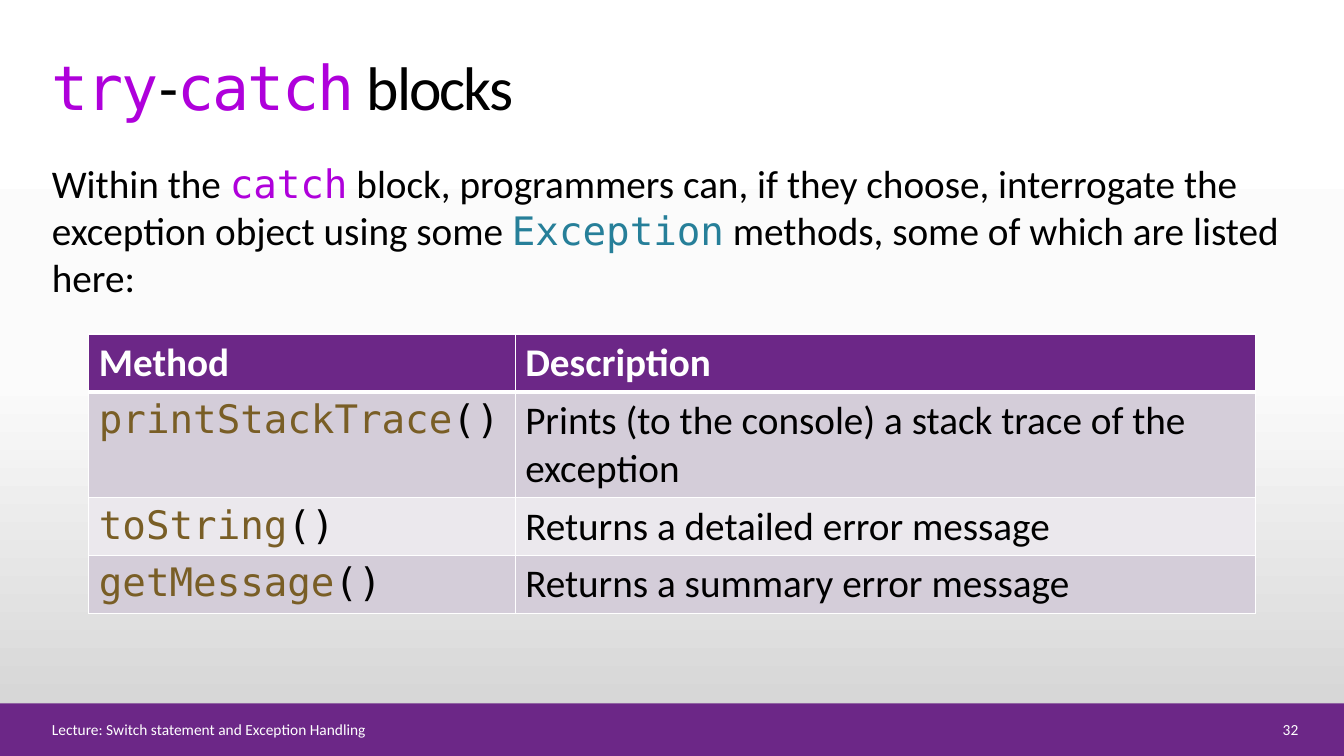
from copy import deepcopy
from dataclasses import dataclass

from lxml.etree import SubElement
from pptx import Presentation
from pptx.dml.color import RGBColor
from pptx.enum.shapes import MSO_SHAPE as Shape
from pptx.enum.text import MSO_ANCHOR as Anchor, PP_ALIGN as Align
from pptx.oxml.ns import qn
from pptx.util import Pt


@dataclass(frozen=True)
class Theme:
    """Colours, fonts and type sizes of the slide."""
    purple: str = "6C2787"
    keyword: str = "AF00DB"
    type_name: str = "267F99"
    method: str = "795E26"
    black: str = "000000"
    white: str = "FFFFFF"
    bands: tuple = ("D4CDD9", "EBE8ED")
    backdrop: tuple = ((0, "FFFFFF"), (50, "FBFBFB"), (100, "D1D1D1"))
    sans: str = "Calibri"
    mono: str = "DejaVu Sans Mono"
    title: int = 44
    body: int = 28
    footer: int = 11


THEME = Theme()
WIDTH, HEIGHT = 960, 540
METHODS = (
    ("printStackTrace", "Prints (to the console) a stack trace of the exception"),
    ("toString", "Returns a detailed error message"),
    ("getMessage", "Returns a summary error message"),
)


def write(para, text, *, size, color=THEME.black, font=THEME.sans, bold=False, spacing=0):
    """Append a formatted span of text to a paragraph."""
    span = para.add_run()
    span.text = text
    span.font.size = Pt(size)
    span.font.name = font
    span.font.bold = bold
    span.font.color.rgb = RGBColor.from_string(color)
    if spacing:
        span._r.get_or_add_rPr().set("spc", str(round(spacing * 100)))


def write_code(para, text, color, **format):
    """Append a span of code in the fixed-width font."""
    write(para, text, color=color, font=THEME.mono, **format)


def add_para(page, box, anchor=Anchor.TOP, align=Align.LEFT):
    """Add a wrapping text box and return its first paragraph."""
    frame = page.shapes.add_textbox(*map(Pt, box)).text_frame
    frame.word_wrap = True
    frame.vertical_anchor = anchor
    para = frame.paragraphs[0]
    para.alignment = align
    return para


def paint_backdrop(page):
    """Fill the background with a vertical gradient."""
    fill = page.background.fill
    fill.gradient()
    fill.gradient_angle = 270
    stops = page.background._cSld.find(".//" + qn("a:gsLst"))
    stops.insert(1, deepcopy(stops[0]))
    for stop, (position, color) in zip(stops, THEME.backdrop):
        stop.set("pos", str(position * 1000))
        for child in list(stop):
            stop.remove(child)
        SubElement(stop, qn("a:srgbClr"), val=color)


def add_title(page, box):
    """Add the slide title with its highlighted keywords."""
    para = add_para(page, box, Anchor.BOTTOM)
    look = {"size": THEME.title, "spacing": -1.5}
    write_code(para, "try", THEME.keyword, **look)
    write(para, "-", **look)
    write_code(para, "catch", THEME.keyword, **look)
    write(para, " blocks", **look)


def add_body(page, box):
    """Add the introductory paragraph."""
    para = add_para(page, box)
    para.space_before = Pt(10)
    look = {"size": THEME.body}
    write(para, "Within the ", **look)
    write_code(para, "catch", THEME.keyword, **look)
    write(para, " block, programmers can, if they choose, interrogate the "
          "exception object using some ", **look)
    write_code(para, "Exception", THEME.type_name, **look)
    write(para, " methods, some of which are listed here:", **look)


def style_cell(cell, color, top=1, bottom=1):
    """Fill a cell and give it white borders."""
    properties = cell._tc.get_or_add_tcPr()
    for side, width in (("L", 1), ("R", 1), ("T", top), ("B", bottom)):
        line = SubElement(properties, qn("a:ln" + side), w=str(Pt(width)))
        paint = SubElement(line, qn("a:solidFill"))
        SubElement(paint, qn("a:srgbClr"), val=THEME.white)
    cell.fill.solid()
    cell.fill.fore_color.rgb = RGBColor.from_string(color)


def add_methods(page, box):
    """Add the table of exception methods."""
    left, top, width, height = box
    table = page.shapes.add_table(len(METHODS) + 1, 2, *map(Pt, box)).table
    name_width, line_height = 304.5, 34.2
    table.columns[0].width = Pt(name_width)
    table.columns[1].width = Pt(width - name_width)
    single = (height - line_height) / (len(METHODS) + 1)
    for index, row in enumerate(table.rows):
        row.height = Pt(single + line_height * (index == 1))
    for cell, heading in zip(table.rows[0].cells, ("Method", "Description")):
        style_cell(cell, THEME.purple, bottom=3)
        write(cell.text_frame.paragraphs[0], heading, size=THEME.body,
              color=THEME.white, bold=True)
    for index, (method, description) in enumerate(METHODS):
        cells = table.rows[index + 1].cells
        for cell in cells:
            style_cell(cell, THEME.bands[index % 2], top=1 if index else 3)
        name, detail = (cell.text_frame.paragraphs[0] for cell in cells)
        write_code(name, method, THEME.method, size=THEME.body)
        write_code(name, "()", THEME.black, size=THEME.body)
        write(detail, description, size=THEME.body)


def add_footer(page, box):
    """Add the footer band with the lecture name and page number."""
    left, top, width, height = box
    band = page.shapes.add_shape(Shape.RECTANGLE, *map(Pt, box))
    band.shadow.inherit = False
    band.fill.solid()
    band.fill.fore_color.rgb = RGBColor.from_string(THEME.purple)
    band.line.fill.background()
    line_height, margin, number_width = 16.8, 30, 54
    line_top = top + (height - line_height) / 2
    look = {"size": THEME.footer, "color": THEME.white}
    lecture = add_para(page, (left + margin, line_top, 839, line_height), Anchor.MIDDLE)
    write(lecture, "Lecture: Switch statement and Exception Handling", **look)
    number_left = left + width - 25.5 - number_width
    number = add_para(page, (number_left, line_top, number_width, line_height),
                      Anchor.MIDDLE, Align.RIGHT)
    write(number, "32", **look)


def main():
    """Build and save the slide."""
    deck = Presentation()
    deck.slide_width, deck.slide_height = Pt(WIDTH), Pt(HEIGHT)
    page = deck.slides.add_slide(deck.slide_layouts[6])
    paint_backdrop(page)
    add_footer(page, (0, 502.5, WIDTH, 37.5))
    add_title(page, (30, 29, 749, 62.5))
    add_body(page, (30, 110, 903.5, 376.5))
    add_methods(page, (63.5, 238.5, 833.5, 199.8))
    deck.save("out.pptx")


if __name__ == "__main__":
    main()
